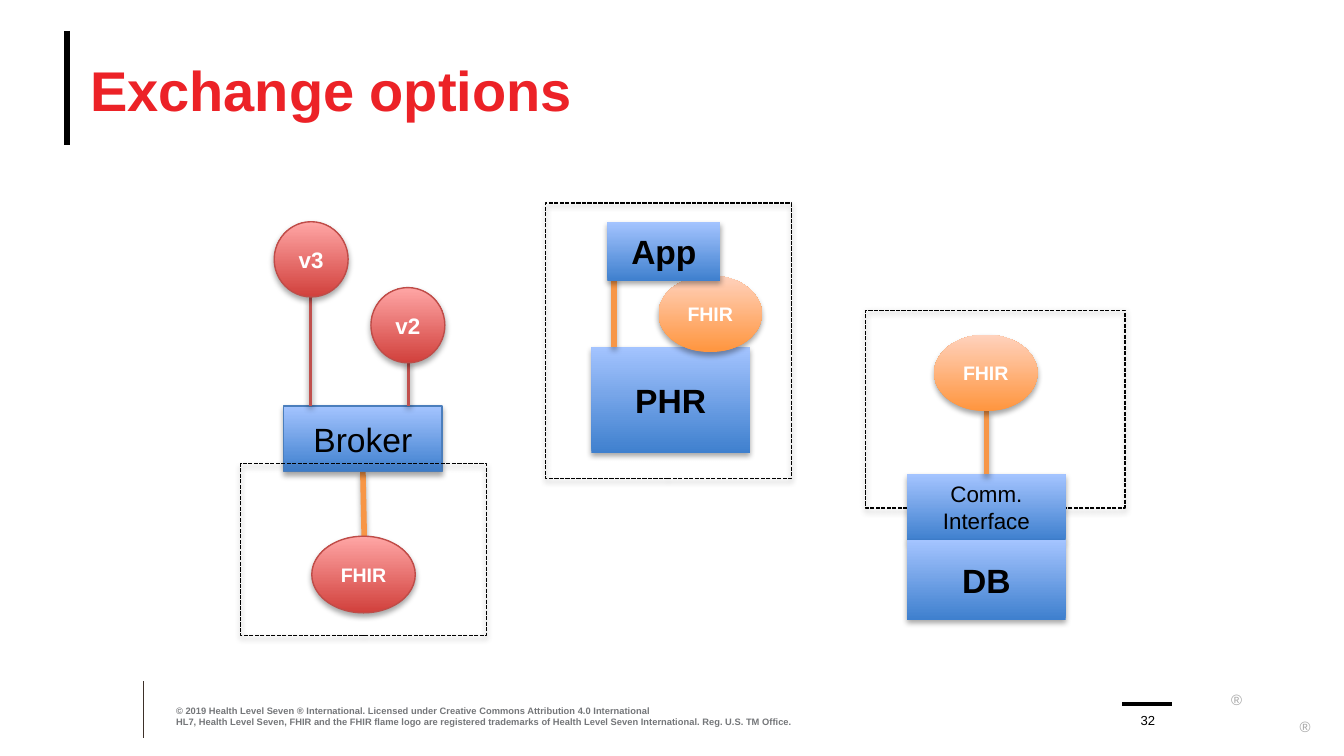
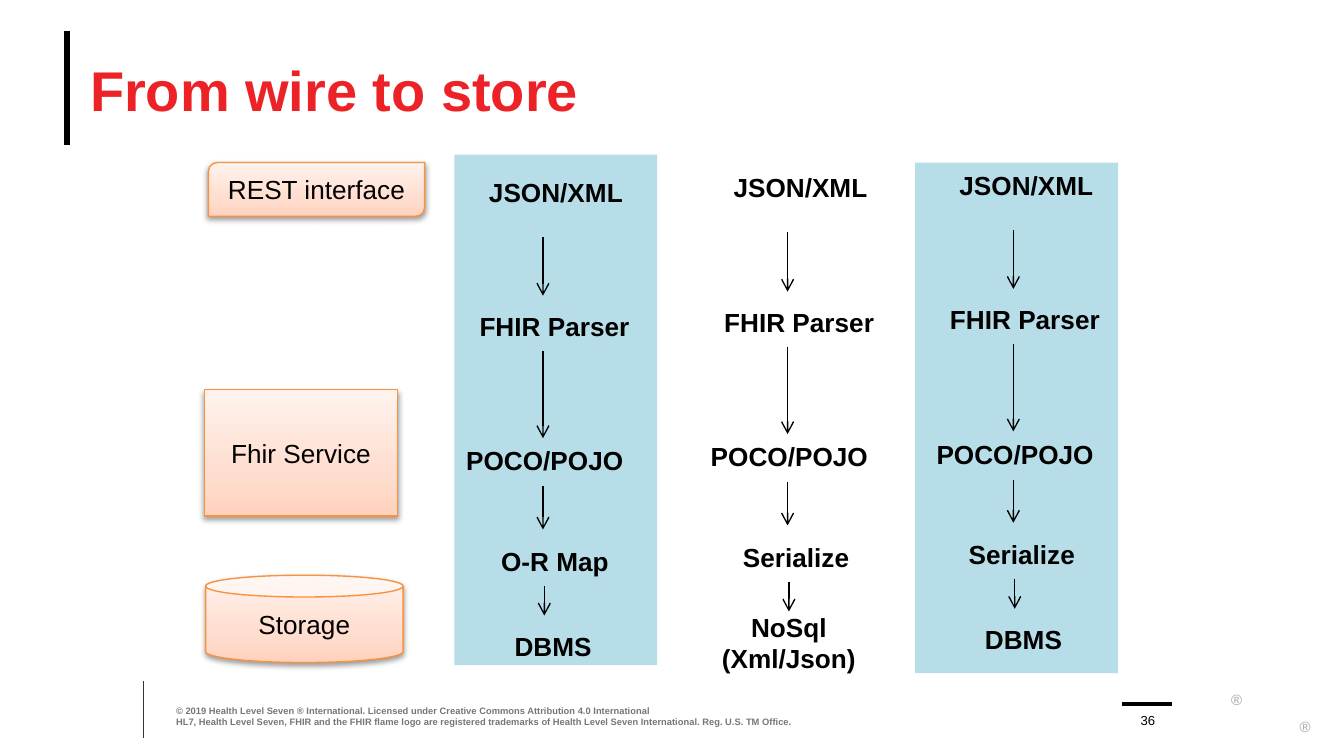
import pptx
import pptx.dml.color
import pptx.enum.dml
import pptx.enum.shapes
import pptx.enum.text
import pptx.oxml
import pptx.oxml.ns
import pptx.util

COLS, ROWS = 100, 56.25
CELL = pptx.util.Inches(0.1)
SHAPE = pptx.enum.shapes.MSO_SHAPE
ALIGN = pptx.enum.text.PP_ALIGN
ANCHOR = pptx.enum.text.MSO_ANCHOR
NS = pptx.oxml.ns.nsdecls("a")

BLACK, WHITE, TITLE_RED = "000000", "FFFFFF", "EC2227"
GREY, MARK_GREY, FOOTER_RULE = "747679", "A6A6A6", "3D3029"
ORANGE, RED, PALE_BLUE = "F79646", "C0504D", "B7DEE8"
RED_FILL = ((0, "D1403C"), (100, "FFA6A5"))
BLUE_FILL = ((0, "3F80CE"), (100, "A4C4FF"))
ORANGE_FILL = ((0, "FF953E"), (100, "FFD2BD"))
PEACH_FILL = ((0, "FFD2BD"), (35, "FFDED0"), (100, "FFF2ED"))
STRONG, FAINT = (35, 1.8), (38, 1.6)
NO_INSET, SMALL_INSET, INSET = (0, 0), (0.7, 0.4), (1, 0.5)
FOOTER = (
    "© 2019 Health Level Seven ® International. Licensed under Creative Commons Attribution 4.0 International",
    "HL7, Health Level Seven, FHIR and the FHIR flame logo are registered trademarks of "
    "Health Level Seven International. Reg. U.S. TM Office.",
)


def rgb(value):
    return pptx.dml.color.RGBColor.from_string(value)


def cells(*counts):
    return [round(n * CELL) for n in counts]


def assign(obj, values):
    for name, value in values.items():
        setattr(obj, name, value)


class Deck:
    font = "Arial"

    def __init__(self):
        self.prs = pptx.Presentation()
        size = cells(COLS, ROWS)
        assign(self.prs, {"slide_width": size[0], "slide_height": size[1]})

    def new_slide(self, title, number):
        self.s = self.prs.slides.add_slide(self.prs.slide_layouts[5])
        self.line((5, 2.3), (5, 10.8), BLACK, 3.25)
        self.line((10.7, 50.7), (10.7, 54.9), FOOTER_RULE, 0.5)
        self.line((83.5, 52.4), (87.2, 52.4), BLACK, 2)
        for at in ((91.6, 51, 1.1, 0.9), (96.7, 53, 0.9, 0.9)):
            self.text(at, "®", size=8, color=MARK_GREY, inset=(0, 0.5))
        sp = self.s.shapes.title
        assign(sp, dict(zip(("left", "top", "width", "height"), cells(6.7, 2.3, 90, 8.6))))
        self.fill_text(sp, title, size=30, color=TITLE_RED, bold=True, inset=NO_INSET,
                       align=ALIGN.LEFT, anchor=ANCHOR.MIDDLE, wrap=True)
        self.text((13.1, 52.4, 49.5, 1.7), *FOOTER, size=5, color=GREY, bold=True,
                  inset=NO_INSET, anchor=ANCHOR.BOTTOM, wrap=True)
        self.text((83.9, 52.5, 3, 1.7), number, size=7, inset=NO_INSET,
                  align=ALIGN.CENTER, anchor=ANCHOR.BOTTOM, wrap=True)

    def fill_text(self, sp, *lines, size, color=BLACK, bold=False, inset=INSET,
                  align=ALIGN.LEFT, anchor=ANCHOR.TOP, wrap=False):
        tf = sp.text_frame
        side, edge = cells(*inset)
        assign(tf, {"word_wrap": wrap, "vertical_anchor": anchor,
                    "auto_size": pptx.enum.text.MSO_AUTO_SIZE.NONE,
                    "margin_left": side, "margin_right": side,
                    "margin_top": edge, "margin_bottom": edge})
        for i, line in enumerate(lines):
            p = tf.add_paragraph() if i else tf.paragraphs[0]
            p.alignment = align
            r = p.add_run()
            r.text = line
            assign(r.font, {"name": self.font, "size": pptx.util.Pt(size), "bold": bold})
            r.font.color.rgb = rgb(color)

    def text(self, at, *lines, **style):
        self.fill_text(self.s.shapes.add_textbox(*cells(*at)), *lines, **style)

    def shade(self, sp, shadow):
        props = sp._element.spPr
        effects = props.find(pptx.oxml.ns.qn("a:effectLst"))
        if effects is not None:
            props.remove(effects)
        drop = ""
        if shadow:
            alpha, dist = shadow
            drop = (f'<a:outerShdw blurRad="{pptx.util.Pt(3.1)}" dist="{pptx.util.Pt(dist)}" '
                    f'dir="5400000" rotWithShape="0"><a:srgbClr val="{BLACK}">'
                    f'<a:alpha val="{alpha * 1000}"/></a:srgbClr></a:outerShdw>')
        props.append(pptx.oxml.parse_xml(f"<a:effectLst {NS}>{drop}</a:effectLst>"))

    def gradient(self, sp, stops):
        sp.fill.background()
        props = sp._element.spPr
        marks = "".join(f'<a:gs pos="{pos * 1000}"><a:srgbClr val="{color}"/></a:gs>'
                        for pos, color in stops)
        props.replace(props.find(pptx.oxml.ns.qn("a:noFill")), pptx.oxml.parse_xml(
            f'<a:gradFill {NS} rotWithShape="1"><a:gsLst>{marks}</a:gsLst>'
            f'<a:lin ang="16200000" scaled="0"/></a:gradFill>'))

    def shape(self, kind, at, *lines, fill=None, outline=None, dashed=False,
              shadow=None, **style):
        sp = self.s.shapes.add_shape(kind, *cells(*at))
        if isinstance(fill, tuple):
            self.gradient(sp, fill)
        elif fill:
            sp.fill.solid()
            sp.fill.fore_color.rgb = rgb(fill)
        else:
            sp.fill.background()
        if outline:
            sp.line.color.rgb = rgb(outline)
            sp.line.width = pptx.util.Pt(0.75)
            if dashed:
                sp.line.dash_style = pptx.enum.dml.MSO_LINE.SQUARE_DOT
        else:
            sp.line.fill.background()
        self.shade(sp, shadow)
        if lines:
            self.fill_text(sp, *lines, align=ALIGN.CENTER, anchor=ANCHOR.MIDDLE,
                           wrap=True, **style)

    def line(self, start, end, color, width, shadow=None, arrow=False):
        sp = self.s.shapes.add_connector(pptx.enum.shapes.MSO_CONNECTOR.STRAIGHT,
                                         *cells(*start, *end))
        sp.line.color.rgb = rgb(color)
        sp.line.width = pptx.util.Pt(width)
        if arrow:
            ln = sp._element.spPr.find(pptx.oxml.ns.qn("a:ln"))
            ln.append(pptx.oxml.parse_xml(f'<a:tailEnd {NS} type="arrow"/>'))
        self.shade(sp, shadow)

    def block(self, at, *lines, size=18, bold=True, outline=None):
        self.shape(SHAPE.RECTANGLE, at, *lines, fill=BLUE_FILL, outline=outline,
                   shadow=STRONG, size=size, bold=bold, inset=SMALL_INSET)

    def bubble(self, at, label, fill=RED_FILL, outline="BF4C48", size=10.5):
        self.shape(SHAPE.OVAL, at, label, fill=fill, outline=outline, shadow=STRONG,
                   size=size, color=WHITE, bold=True, inset=SMALL_INSET)

    def boundary(self, at):
        self.shape(SHAPE.RECTANGLE, at, outline=BLACK, dashed=True, shadow=FAINT)

    def store_part(self, kind, at, label):
        self.shape(kind, at, label, fill=PEACH_FILL, outline="F69240",
                   shadow=FAINT, size=14)


def exchange_options(deck):
    deck.new_slide("Exchange options", "32")

    deck.line((27.1, 39.9), (27, 35.1), ORANGE, 3, STRONG)
    deck.bubble((23.2, 39.9, 7.7, 5.7), "FHIR")
    deck.block((21.1, 30.2, 11.8, 4.9), "Broker", bold=False, outline="4B7EBC")
    deck.line((23.1, 30.2), (23.1, 22.1), RED, 2, FAINT)
    deck.bubble((20.4, 16.5, 5.5, 5.6), "v3", size=12)
    deck.boundary((17.9, 34.5, 18.3, 12.8))
    deck.line((30.4, 30.2), (30.4, 26.9), RED, 2, FAINT)
    deck.bubble((27.6, 21.4, 5.5, 5.6), "v2", size=12)

    deck.block((44, 25.8, 11.8, 7.9), "PHR")
    deck.line((45.7, 25.8), (45.7, 20.5), ORANGE, 3, STRONG)
    deck.boundary((40.6, 15.1, 18.3, 20.5))
    deck.bubble((49, 20.5, 7.7, 5.7), "FHIR", ORANGE_FILL, None)
    deck.block((45.2, 16.5, 8.4, 4.4), "App")

    deck.boundary((64.4, 23.1, 19.3, 14.7))
    deck.block((67.5, 35.3, 11.8, 4.9), "Comm.", "Interface", size=12, bold=False)
    deck.block((67.5, 40.2, 11.8, 5.9), "DB")
    deck.line((73.4, 35.3), (73.4, 30.6), ORANGE, 3, STRONG)
    deck.bubble((69.5, 24.9, 7.7, 5.7), "FHIR", ORANGE_FILL, None)


def wire_to_store(deck):
    deck.new_slide("From wire to store", "36")
    for left, top in ((33.8, 11.5), (68.1, 12.1)):
        deck.shape(SHAPE.RECTANGLE, (left, top, 15.1, 38), fill=PALE_BLUE)
    deck.store_part(SHAPE.CAN, (15.3, 42.8, 14.7, 6.5), "Storage")
    deck.store_part(SHAPE.RECTANGLE, (15.2, 29, 14.4, 9.4), "Fhir Service")
    deck.store_part(SHAPE.ROUND_2_DIAG_RECTANGLE, (15.5, 12.1, 16.1, 4), "REST interface")

    shared_steps = (
        ((35.4, 12.6, 12, 3.4), "JSON/XML"),
        ((34.7, 22.6, 13.3, 3.4), "FHIR Parser"),
        ((33.7, 32.6, 13.7, 3.4), "POCO/POJO"),
    )
    serialize = ((36.1, 40.1, 10, 3.4), "Serialize")
    dbms = ((37.3, 46.4, 7.8, 3.4), "DBMS")
    nosql = ((34.5, 45.3, 12, 5.7), "NoSql", "(Xml/Json)")
    pipelines = (
        (0, 0, ((36.3, 40.1, 10.1, 3.4), "O-R Map"), dbms),
        (18.2, -0.3, serialize, nosql),
        (35, -0.5, serialize, dbms),
    )
    arrows = ((40.4, 17.6, 22), (40.4, 26.1, 32.6), (40.4, 36.2, 39.4), (40.5, 43.6, 45.8))
    for dx, dy, *last_steps in pipelines:
        for (left, top, width, height), *lines in (*shared_steps, *last_steps):
            deck.text((left + dx, top + dy, width, height), *lines, size=14, bold=True,
                      align=ALIGN.CENTER if len(lines) > 1 else ALIGN.LEFT)
        for x, start, end in arrows:
            deck.line((x + dx, start + dy), (x + dx, end + dy), BLACK, 0.75, arrow=True)


def main():
    deck = Deck()
    exchange_options(deck)
    wire_to_store(deck)
    deck.prs.save("out.pptx")


if __name__ == "__main__":
    main()
